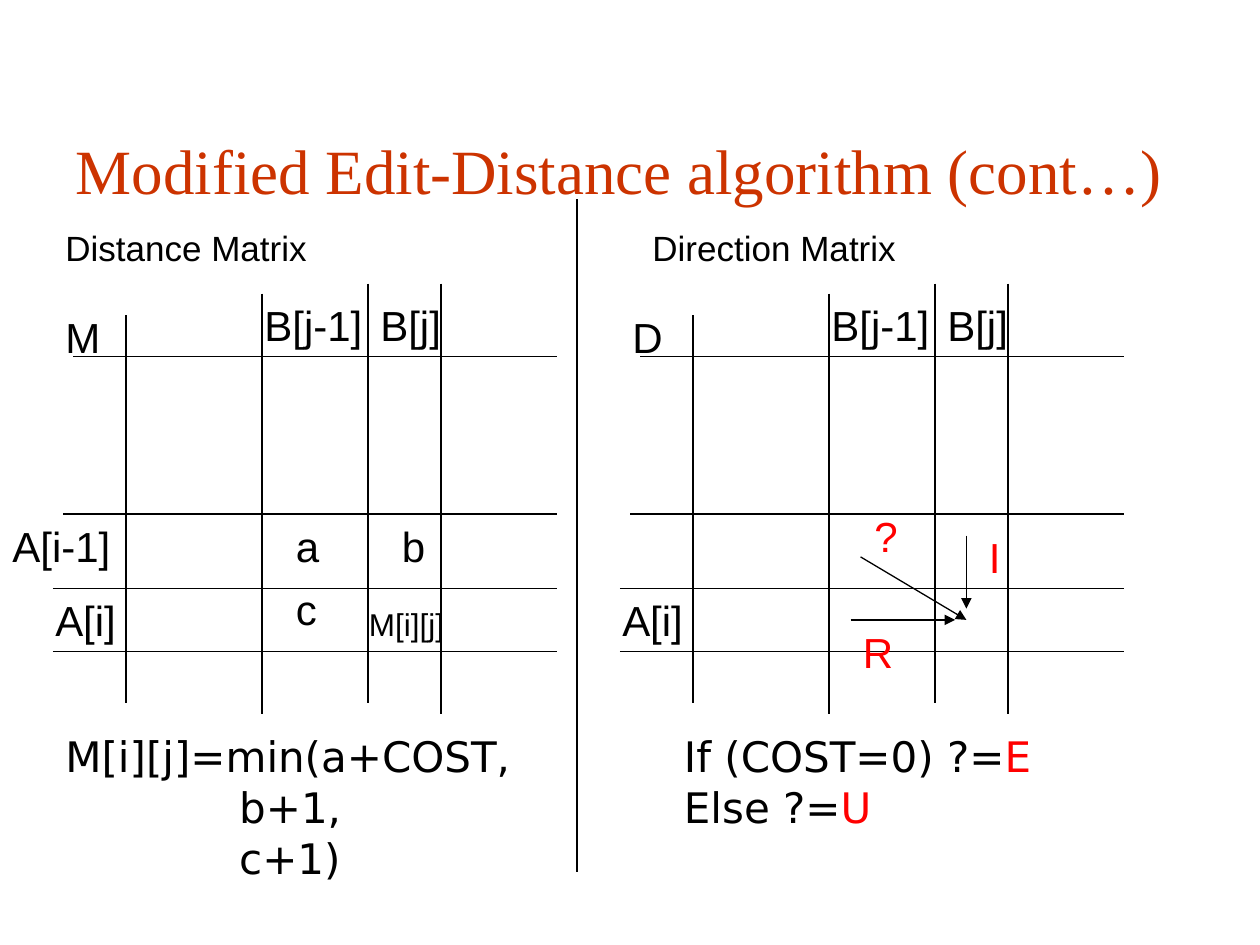
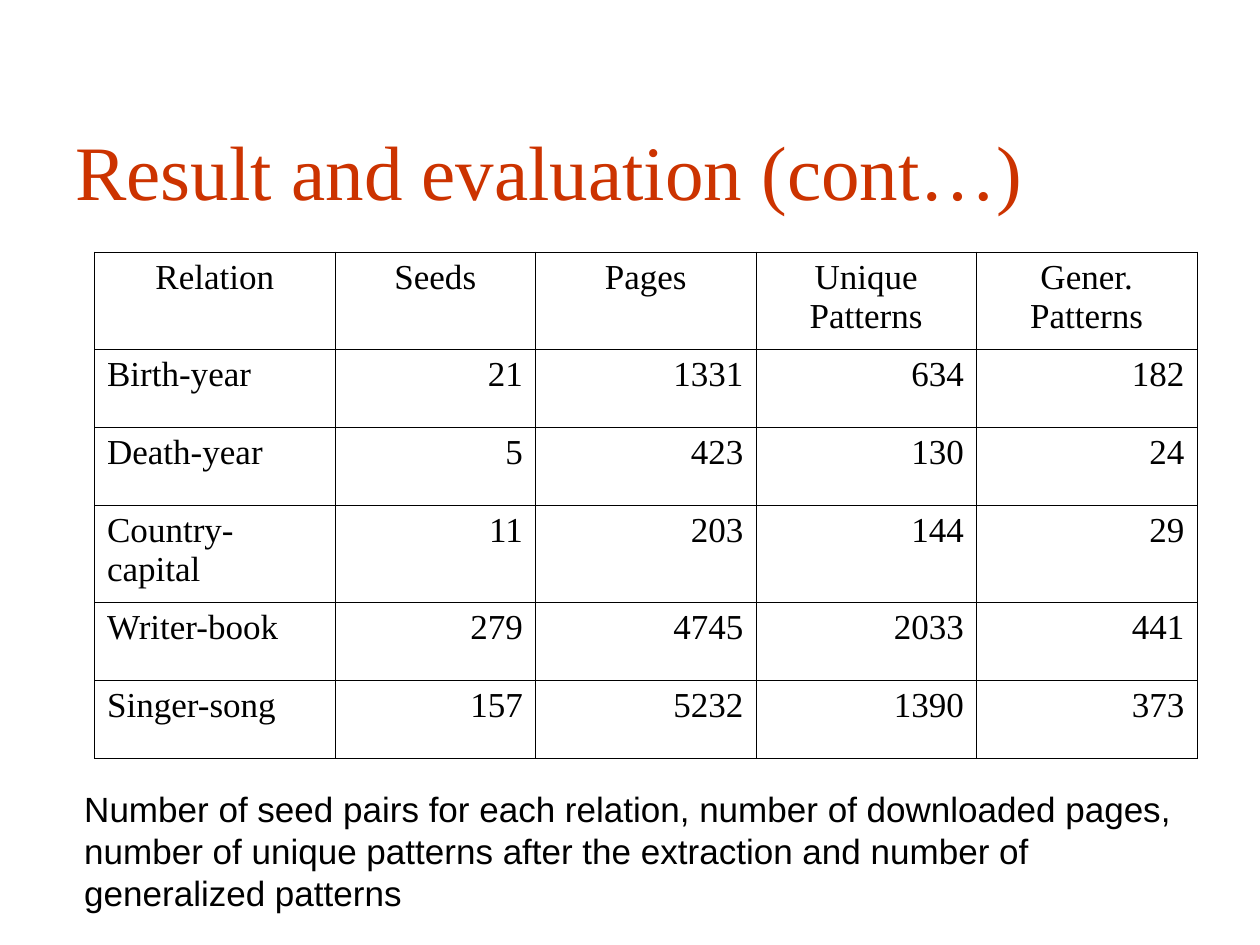
import pptx
import pptx.dml.color
import pptx.enum.shapes
import pptx.enum.text
import pptx.oxml
import pptx.oxml.ns
import pptx.util

Inches = pptx.util.Inches
ALIGN = pptx.enum.text.PP_ALIGN
ANCHOR = pptx.enum.text.MSO_ANCHOR
AUTO_SIZE = pptx.enum.text.MSO_AUTO_SIZE

# Shared look
BLACK, RED, TITLE_COLOR = "000000", "FF0000", "CC3300"
SANS, SERIF, FORMULA = "Arial", "Times New Roman", "DejaVu Sans"
TITLE_BOX = (0.5, 0.72, 9, 1.25)
LABEL_H = 0.5

# Matrix slide: grid lines and labels of the left matrix, the right one is shifted
MATRIX_TITLE = "Modified Edit-Distance algorithm (cont…)"
DIVIDER = (4.58, 1.58, 4.58, 6.92)
SHIFT = 4.5
GRID_RIGHT = 4.42
COLUMN_LINES = [(1, 2.5, 5.58), (2.08, 2.33, 5.67), (2.92, 2.25, 5.58), (3.5, 2.25, 5.67)]
ROW_LINES = [(2.83, 0.58), (4.08, 0.5), (4.67, 0.42), (5.17, 0.42)]
SHARED_LABELS = [("A[i]", 0.34, 4.67, 0.68), ("B[j]", 2.92, 2.33, 0.68),
                 ("B[j-1]", 2, 2.33, 0.98)]
DISTANCE_LABELS = [("M", 0.42, 2.42, 0.58), ("A[i-1]", 0, 4.08, 0.98),
                   ("a", 2.25, 4.08, 0.38), ("b", 3.09, 4.08, 0.38), ("c", 2.25, 4.58, 0.36)]
DIRECTION_LABELS = [("I", 7.75, 4.17, 0.29), ("R", 6.75, 4.92, 0.44), ("?", 6.84, 4, 0.38)]
ARROWS = [(6.83, 4.42, 7.67, 4.92), (7.67, 4.25, 7.67, 4.83), (6.75, 4.92, 7.58, 4.92)]
HEADINGS = [("Distance Matrix", 0.42, 2.67), ("Direction Matrix", 5.08, 3.33)]

# Formulas: left edge, then (indent, [(text, colour), ...]) for each line
FORMULAS = [
    (0.42, [(0, [("M[i][j]=min(a+COST,", BLACK)]),
            (1.38, [("b+1,", BLACK)]),
            (1.38, [("c+1)", BLACK)])]),
    (5.33, [(0, [("If (COST=0) ?=", BLACK), ("E", RED)]),
            (0, [("Else ?=", BLACK), ("U", RED)])]),
]

# Result slide
RESULT_TITLE = "Result and evaluation (cont…)"
RESULTS = [
    ("Relation", "Seeds", "Pages", "Unique Patterns", "Gener. Patterns"),
    ("Birth-year", 21, 1331, 634, 182),
    ("Death-year", 5, 423, 130, 24),
    ("Country-capital", 11, 203, 144, 29),
    ("Writer-book", 279, 4745, 2033, 441),
    ("Singer-song", 157, 5232, 1390, 373),
]
COL_WIDTHS = [1.91, 1.59, 1.75, 1.75, 1.75]
ROW_HEIGHTS = [0.77, 0.62, 0.62, 0.77, 0.62, 0.62]
CAPTION = ("Number of seed pairs for each relation, number of downloaded pages, "
           "number of unique patterns after the extraction and number of generalized patterns")


def rgb(color):
    return pptx.dml.color.RGBColor.from_string(color)


def set_all(obj, values):
    for name, value in values.items():
        setattr(obj, name, value)


def add_run(p, text, size, font=SANS, color=BLACK):
    r = p.add_run()
    r.text = text
    set_all(r.font, {"size": pptx.util.Pt(size), "name": font, "bold": False})
    r.font.color.rgb = rgb(color)


def add_box(s, x, y, w, h, wrap=True):
    tf = s.shapes.add_textbox(Inches(x), Inches(y), Inches(w), Inches(h)).text_frame
    # A label that does not wrap grows with its text
    set_all(tf, {"word_wrap": wrap,
                 "auto_size": AUTO_SIZE.NONE if wrap else AUTO_SIZE.SHAPE_TO_FIT_TEXT})
    return tf


def add_text(s, text, x, y, w, h=LABEL_H, size=24, color=BLACK, wrap=False):
    add_run(add_box(s, x, y, w, h, wrap).paragraphs[0], text, size, color=color)


def add_line(s, x1, y1, x2, y2, arrow=False):
    line = s.shapes.add_connector(pptx.enum.shapes.MSO_CONNECTOR.STRAIGHT,
                                  Inches(x1), Inches(y1), Inches(x2), Inches(y2))
    line.line.color.rgb = rgb(BLACK)
    line.line.width = pptx.util.Pt(0.75)
    if arrow:
        tail = pptx.oxml.parse_xml(f'<a:tailEnd {pptx.oxml.ns.nsdecls("a")} type="triangle"/>')
        line.line._get_or_add_ln().append(tail)
    sp_pr = line._element.spPr
    sp_pr.append(pptx.oxml.parse_xml(f'<a:effectLst {pptx.oxml.ns.nsdecls("a")}/>'))


def add_slide(prs, title, size):
    s = prs.slides.add_slide(prs.slide_layouts[5])
    sp = s.shapes.title
    set_all(sp, dict(zip(("left", "top", "width", "height"), map(Inches, TITLE_BOX))))
    tf = sp.text_frame
    set_all(tf, {"vertical_anchor": ANCHOR.MIDDLE, "word_wrap": True,
                 "auto_size": AUTO_SIZE.NONE})
    p = tf.paragraphs[0]
    p.alignment = ALIGN.LEFT
    add_run(p, title, size, SERIF, TITLE_COLOR)
    return s


def add_matrix(s, dx, labels):
    for x, top, bottom in COLUMN_LINES:
        add_line(s, x + dx, top, x + dx, bottom)
    for y, left in ROW_LINES:
        add_line(s, left + dx, y, GRID_RIGHT + dx, y)
    for text, x, y, w in SHARED_LABELS + labels:
        add_text(s, text, x + dx, y, w)


def add_formula(s, x, lines):
    tf = add_box(s, x, 5.83, 3.92, 1.33)
    for i, (indent, runs) in enumerate(lines):
        p = tf.add_paragraph() if i else tf.paragraphs[0]
        set_all(p, {"line_spacing": 0.8, "space_before": pptx.util.Pt(6)})
        p._p.get_or_add_pPr().set("marL", str(Inches(indent)))
        for text, color in runs:
            add_run(p, text, 24, FORMULA, color)


def add_borders(cell):
    tc_pr = cell._tc.get_or_add_tcPr()
    for i, side in enumerate("LRTB"):
        tc_pr.insert(i, pptx.oxml.parse_xml(
            f'<a:ln{side} {pptx.oxml.ns.nsdecls("a")} w="{pptx.util.Pt(0.45)}"><a:solidFill>'
            f'<a:srgbClr val="{BLACK}"/></a:solidFill></a:ln{side}>'))


def add_results(s):
    table = s.shapes.add_table(len(RESULTS), len(COL_WIDTHS), Inches(0.75), Inches(2),
                               Inches(sum(COL_WIDTHS)), Inches(sum(ROW_HEIGHTS))).table
    set_all(table, {"first_row": False, "horz_banding": False})
    for column, w in zip(table.columns, COL_WIDTHS):
        column.width = Inches(w)
    for row, h in zip(table.rows, ROW_HEIGHTS):
        row.height = Inches(h)
    for i, values in enumerate(RESULTS):
        for j, value in enumerate(values):
            cell = table.cell(i, j)
            cell.fill.background()
            add_borders(cell)
            p = cell.text_frame.paragraphs[0]
            p.alignment = ALIGN.CENTER if i == 0 else ALIGN.RIGHT if j else ALIGN.LEFT
            add_run(p, str(value), 20, SERIF)


def main():
    prs = pptx.Presentation()
    set_all(prs, {"slide_width": Inches(10), "slide_height": Inches(7.5)})

    # Distance and direction matrices
    s = add_slide(prs, MATRIX_TITLE, 36)
    add_line(s, *DIVIDER)
    for text, x, w in HEADINGS:
        add_text(s, text, x, 1.75, w, 0.44, size=20, wrap=True)
    add_matrix(s, 0, DISTANCE_LABELS)
    add_text(s, "M[i][j]", 2.83, 4.75, 0.82, 0.4, size=18)
    add_matrix(s, SHIFT, [("D", 0.42, 2.42, 0.58)])
    for ends in ARROWS:
        add_line(s, *ends, arrow=True)
    for label in DIRECTION_LABELS:
        add_text(s, *label, color=RED)
    for x, lines in FORMULAS:
        add_formula(s, x, lines)

    # Result table and its caption
    s = add_slide(prs, RESULT_TITLE, 44)
    add_results(s)
    add_text(s, CAPTION, 0.57, 6.2, 9.02, 0.71, size=20, wrap=True)

    prs.save("out.pptx")


if __name__ == "__main__":
    main()
